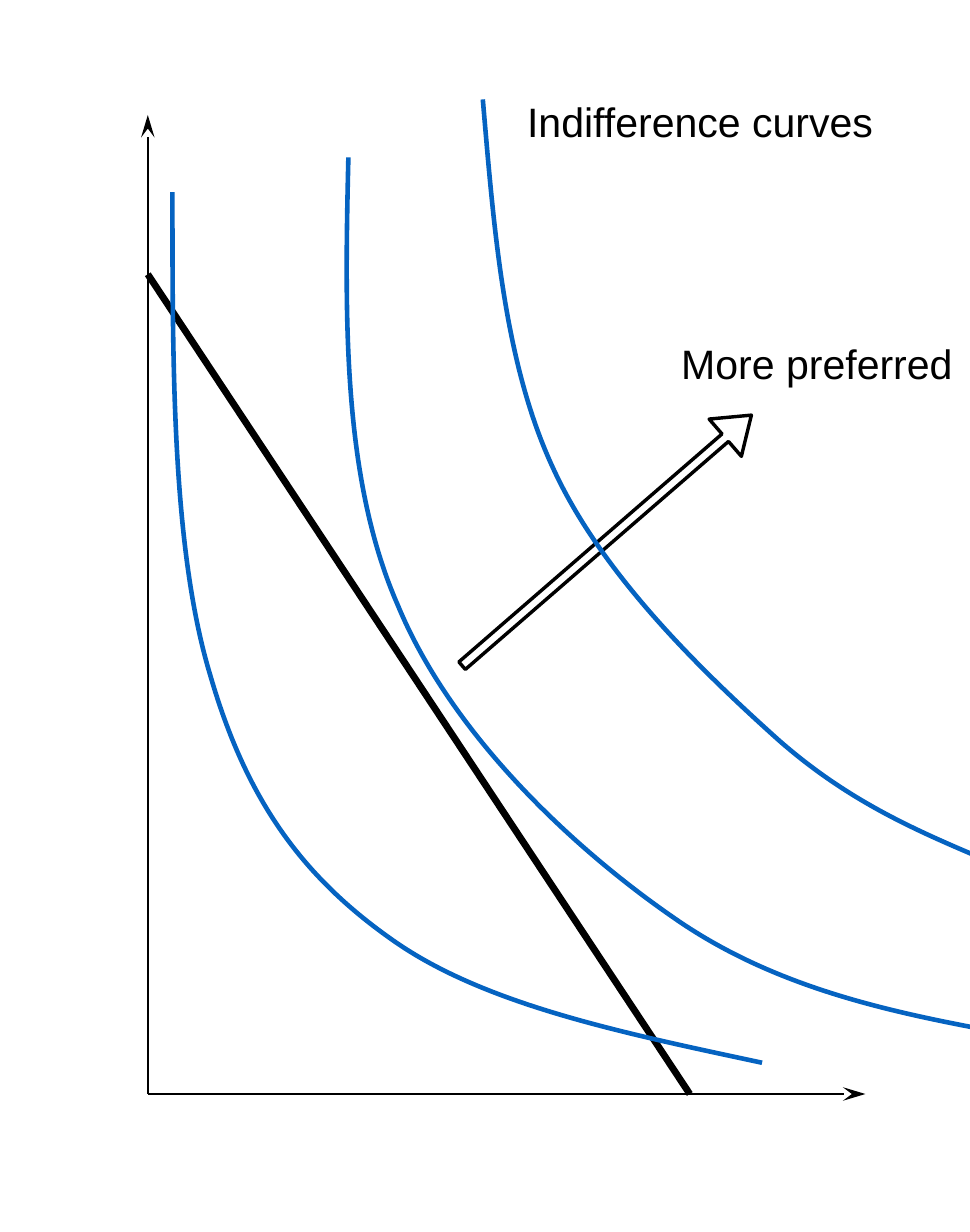
from dataclasses import dataclass

from lxml import etree
from pptx import Presentation
from pptx.dml.color import RGBColor
from pptx.enum import shapes, text
from pptx.oxml import ns
from pptx.util import Emu, Pt

EMU_PER_PX = 9144  # 100 px to the inch
SLIDE_SIZE = {"slide_width": Emu(5400675), "slide_height": Emu(6858000)}  # 15 cm by 7.5 in


@dataclass(frozen=True)
class Theme:
    ink: RGBColor = RGBColor(0x00, 0x00, 0x00)
    curve: RGBColor = RGBColor(0x05, 0x63, 0xC1)
    font: str = "Arial"
    label_size: int = 18
    axis_width: float = 1
    budget_width: float = 3
    arrow_width: float = 1.5
    curve_width: float = 2


THEME = Theme()
ORIGIN = (90, 666)
AXIS_ENDS = [(90, 70), (527, 666)]
AXIS_HEAD = {"type": "stealth", "w": "med", "len": "lg"}
BUDGET_LINE = [(90, 167), (420, 666)]

# Rotation in degrees, then the knots with two control points between each pair
INDIFFERENCE_CURVES = [
    (0, [(105, 117), (105, 226), (105, 335), (128, 411), (150, 487),
         (184, 534), (240, 573), (296, 612), (380, 629), (464, 647)]),
    (3.1, [(198, 107), (201, 205), (205, 303), (243, 378), (279, 453),
           (355, 518), (420, 558), (484, 598), (556, 609), (627, 618)]),
    (7.2, [(266, 82), (283, 161), (299, 240), (337, 300), (375, 361),
           (444, 412), (493, 446), (543, 480), (589, 492), (635, 505)]),
]


def px(*lengths):
    return [length * EMU_PER_PX for length in lengths]


def set_attributes(target, values):
    for name, value in values.items():
        setattr(target, name, value)


def style_line(shape, color, width):
    shape.line.color.rgb = color
    shape.line.width = Pt(width)


def add_line(slide, start, end, width, arrowhead=None):
    line = slide.shapes.add_connector(
        shapes.MSO_CONNECTOR.STRAIGHT, *px(*start, *end))
    style_line(line, THEME.ink, width)
    if arrowhead:
        etree.SubElement(line.line._get_or_add_ln(), ns.qn("a:tailEnd"), arrowhead)
    etree.SubElement(line._element.spPr, ns.qn("a:effectLst"))


def add_preference_arrow(slide):
    arrow = slide.shapes.add_shape(
        shapes.MSO_SHAPE.RIGHT_ARROW, *px(253, 314, 233, 30))
    arrow.rotation = 319.1
    arrow.adjustments[0] = 0.2
    arrow.adjustments[1] = 0.7
    arrow.shadow.inherit = False
    arrow.fill.background()
    style_line(arrow, THEME.ink, THEME.arrow_width)


def add_curve(slide, rotation, points):
    """Draw a cubic curve whose first point is its top left corner."""
    left, top = points[0]
    builder = slide.shapes.build_freeform(left, top, scale=EMU_PER_PX)
    builder.add_line_segments(points[3::3], close=False)
    curve = builder.convert_to_shape()
    segments = list(curve._element.iter(ns.qn("a:lnTo")))
    for index, segment in enumerate(segments):
        segment.tag = ns.qn("a:cubicBezTo")
        controls = points[3 * index + 1:3 * index + 3]
        for place, (x, y) in enumerate(controls):
            control = etree.Element(ns.qn("a:pt"), x=str(x - left), y=str(y - top))
            segment.insert(place, control)
    curve.rotation = rotation
    curve.shadow.inherit = False
    curve.fill.background()
    style_line(curve, THEME.curve, THEME.curve_width)


def add_label(slide, wording, box, **frame_values):
    frame = slide.shapes.add_textbox(*px(*box)).text_frame
    set_attributes(frame, {
        "word_wrap": False,
        "auto_size": text.MSO_AUTO_SIZE.SHAPE_TO_FIT_TEXT,
        **frame_values,
    })
    run = frame.paragraphs[0].add_run()
    run.text = wording
    set_attributes(run.font, {"name": THEME.font, "size": Pt(THEME.label_size)})
    run.font.color.rgb = THEME.ink


def main():
    presentation = Presentation()
    set_attributes(presentation, SLIDE_SIZE)
    slide = presentation.slides.add_slide(presentation.slide_layouts[6])

    for axis_end in AXIS_ENDS:
        add_line(slide, ORIGIN, axis_end, THEME.axis_width, AXIS_HEAD)
    add_line(slide, *BUDGET_LINE, THEME.budget_width)
    add_preference_arrow(slide)
    add_label(slide, "More preferred", (405, 201, 190, 40))
    for rotation, points in INDIFFERENCE_CURVES:
        add_curve(slide, rotation, points)
    no_margins = dict.fromkeys(
        ("margin_left", "margin_top", "margin_right", "margin_bottom"), 0)
    add_label(slide, "Indifference curves", (321, 59, 217, 30), **no_margins)

    presentation.save("out.pptx")


if __name__ == "__main__":
    main()
